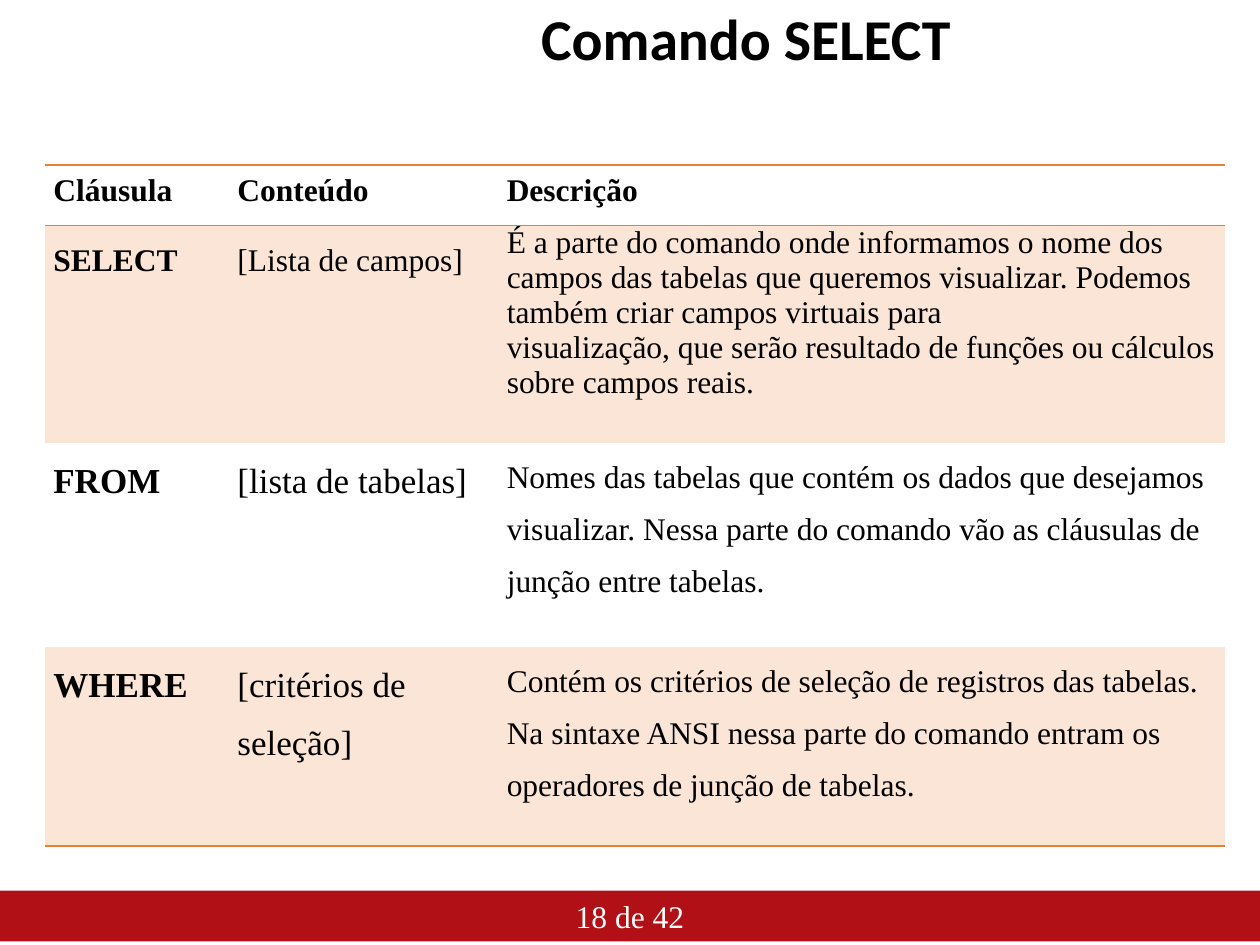
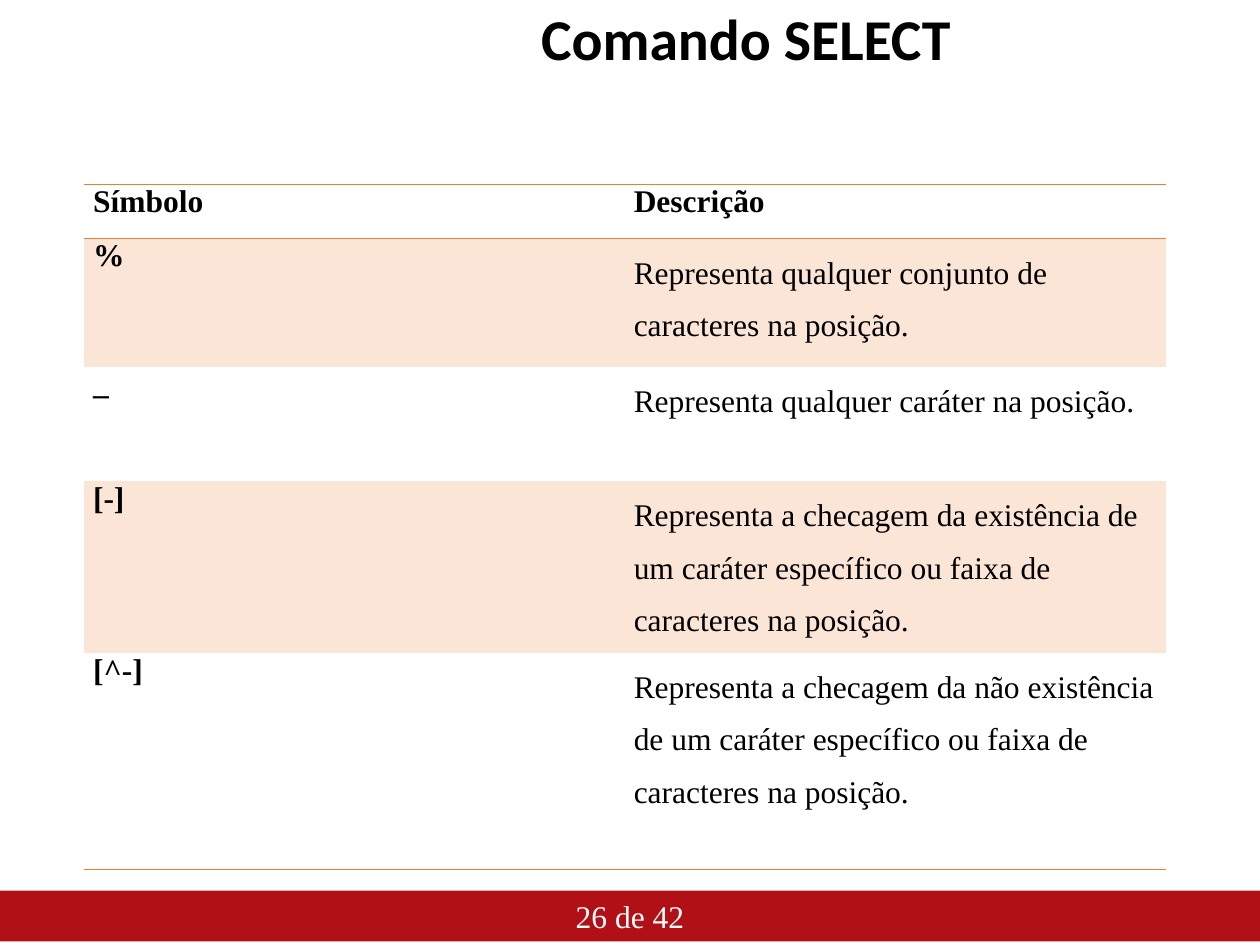
import pptx
import pptx.dml.color
import pptx.enum.shapes
import pptx.enum.text
import pptx.oxml
import pptx.oxml.ns
import pptx.util

Pt = pptx.util.Pt
RGBColor = pptx.dml.color.RGBColor
ALIGN = pptx.enum.text.PP_ALIGN
MIDDLE = pptx.enum.text.MSO_ANCHOR.MIDDLE

RED = RGBColor(0xB1, 0x11, 0x16)
ORANGE = RGBColor(0xED, 0x7D, 0x31)
PEACH = RGBColor(0xFB, 0xE5, 0xD6)
BLACK = RGBColor(0, 0, 0)
WHITE = RGBColor(0xFF, 0xFF, 0xFF)

SLIDE_WIDTH, SLIDE_HEIGHT = 720, 540
TITLE_BOX = (133.2, 0, 586.1, 48.2)
FOOTER_BOX = (0, 509, SLIDE_WIDTH, 29)
PAGE_COUNT = 42
PLAIN_TABLE_STYLE = "{2D5ABB26-0587-4C30-8999-92F81FD0307C}"

TITLE_FONT = {"name": "Calibri", "size": Pt(33), "bold": True}
BODY_FONT = {"name": "Times New Roman", "size": Pt(18), "bold": False}
CELL_MARGINS = {"margin_left": Pt(5), "margin_right": Pt(5), "margin_top": 0, "margin_bottom": 0}

CLAUSE_HEADER = {"line_spacing": Pt(24.6)}
SINGLE = {"line_spacing": 1.0}
WIDE = {"line_spacing": 1.5}
SYMBOL = {"alignment": ALIGN.JUSTIFY}

CLAUSES = {
    "box": (25.5, 94.3),
    "columns": (105.2, 153.9, 415.2),
    "heights": (34.6, 124, 116.6, 114),
    "rows": [
        [("Cláusula", CLAUSE_HEADER, 18), ("Conteúdo", CLAUSE_HEADER, 18), ("Descrição", CLAUSE_HEADER, 18)],
        [("SELECT", WIDE, 18), ("[Lista de campos]", WIDE, 18),
         ("É a parte do comando onde informamos o nome dos campos das tabelas que queremos visualizar. "
          "Podemos também criar campos virtuais para\n"
          "visualização, que serão resultado de funções ou cálculos sobre campos reais.", SINGLE, 18)],
        [("FROM", WIDE, 20), ("[lista de tabelas]", WIDE, 20),
         ("Nomes das tabelas que contém os dados que desejamos visualizar. "
          "Nessa parte do comando vão as cláusulas de junção entre tabelas.", WIDE, 18)],
        [("WHERE", WIDE, 20), ("[critérios de seleção]", WIDE, 20),
         ("Contém os critérios de seleção de registros das tabelas. "
          "Na sintaxe ANSI nessa parte do comando entram os operadores de junção de tabelas.", WIDE, 18)],
    ],
}

SYMBOLS = {
    "box": (48.2, 105.5),
    "columns": (309, 309),
    "heights": (30.8, 73.2, 65.5, 98.2, 123.8),
    "rows": [
        [("Símbolo", SYMBOL, 18), ("Descrição", SYMBOL, 18)],
        [("%", SYMBOL, 18), ("Representa qualquer conjunto de caracteres na posição.", WIDE, 18)],
        [("_", SYMBOL, 18), ("Representa qualquer caráter na posição.", WIDE, 18)],
        [("[-]", SYMBOL, 18),
         ("Representa a checagem da existência de um caráter específico ou faixa de\n"
          "caracteres na posição.", WIDE, 18)],
        [("[^-]", SYMBOL, 18),
         ("Representa a checagem da não existência de um caráter específico ou faixa de "
          "caracteres na posição.", WIDE, 18)],
    ],
}


def apply_format(target, values):
    for name, value in values.items():
        setattr(target, name, value)


def write_text(text_frame, text, paragraph_format, font_format, color):
    text_frame.word_wrap = True
    text_frame.text = text
    for paragraph in text_frame.paragraphs:
        apply_format(paragraph, paragraph_format)
        for run in paragraph.runs:
            apply_format(run.font, font_format)
            run.font.color.rgb = color


def add_title(slide, box, text):
    title = slide.shapes.title
    apply_format(title, dict(zip(("left", "top", "width", "height"), map(Pt, box))))
    title.text_frame.vertical_anchor = MIDDLE
    write_text(title.text_frame, text, {"alignment": ALIGN.CENTER, "line_spacing": 0.9}, TITLE_FONT, BLACK)


def add_footer(slide, box, page):
    band = slide.shapes.add_shape(pptx.enum.shapes.MSO_SHAPE.RECTANGLE, *map(Pt, box))
    band.shadow.inherit = False
    band.fill.solid()
    band.fill.fore_color.rgb = RED
    band.line.fill.background()
    band.text_frame.vertical_anchor = MIDDLE
    write_text(band.text_frame, f"{page} de {PAGE_COUNT}", {"alignment": ALIGN.CENTER}, BODY_FONT, WHITE)


def add_border(cell, edge):
    cell._tc.get_or_add_tcPr().append(pptx.oxml.parse_xml(
        f'<a:{edge} {pptx.oxml.ns.nsdecls("a")} w="{Pt(1)}"><a:solidFill>'
        f'<a:srgbClr val="{ORANGE}"/></a:solidFill></a:{edge}>'))


def add_command_table(slide, box, columns, heights, rows):
    size = (sum(columns), sum(heights))
    frame = slide.shapes.add_table(len(rows), len(columns), *map(Pt, box + size))
    table = frame.table
    for style in frame.element.iter(pptx.oxml.ns.qn("a:tableStyleId")):
        style.text = PLAIN_TABLE_STYLE
    for column, width in zip(table.columns, columns):
        column.width = Pt(width)
    for row, height in zip(table.rows, heights):
        row.height = Pt(height)
    for row_index, row in enumerate(rows):
        for column_index, (text, paragraph_format, size) in enumerate(row):
            cell = table.cell(row_index, column_index)
            apply_format(cell, CELL_MARGINS)
            bold = row_index == 0 or column_index == 0
            font_format = {**BODY_FONT, "size": Pt(size), "bold": bold}
            write_text(cell.text_frame, text, paragraph_format, font_format, BLACK)
            if row_index == 0:
                add_border(cell, "lnT")
            if row_index in (0, len(rows) - 1):
                add_border(cell, "lnB")
            if row_index % 2:
                cell.fill.solid()
                cell.fill.fore_color.rgb = PEACH
            else:
                cell.fill.background()


def add_command_slide(presentation, page, content):
    slide = presentation.slides.add_slide(presentation.slide_layouts[5])
    add_footer(slide, FOOTER_BOX, page)
    add_title(slide, TITLE_BOX, "Comando SELECT")
    add_command_table(slide, **content)


def main():
    presentation = pptx.Presentation()
    presentation.slide_width = Pt(SLIDE_WIDTH)
    presentation.slide_height = Pt(SLIDE_HEIGHT)
    add_command_slide(presentation, 18, CLAUSES)
    add_command_slide(presentation, 26, SYMBOLS)
    presentation.save("out.pptx")


if __name__ == "__main__":
    main()
